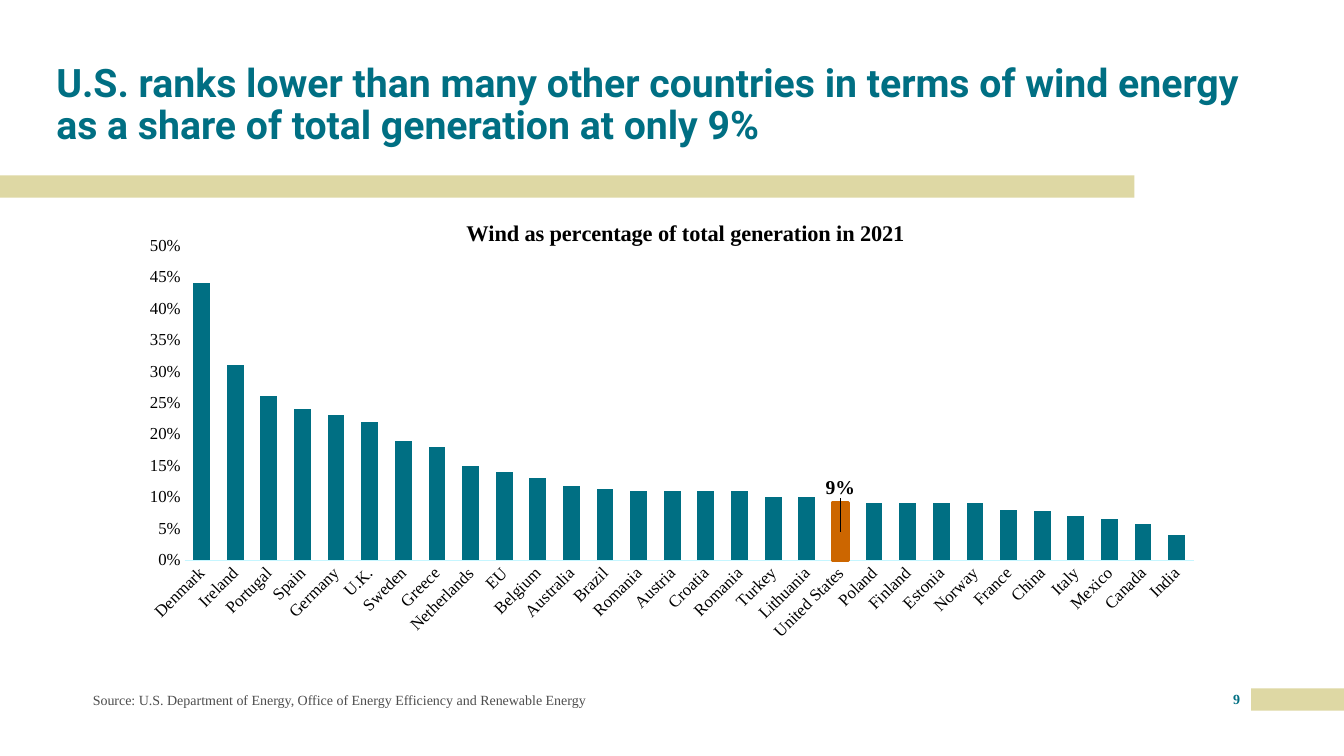
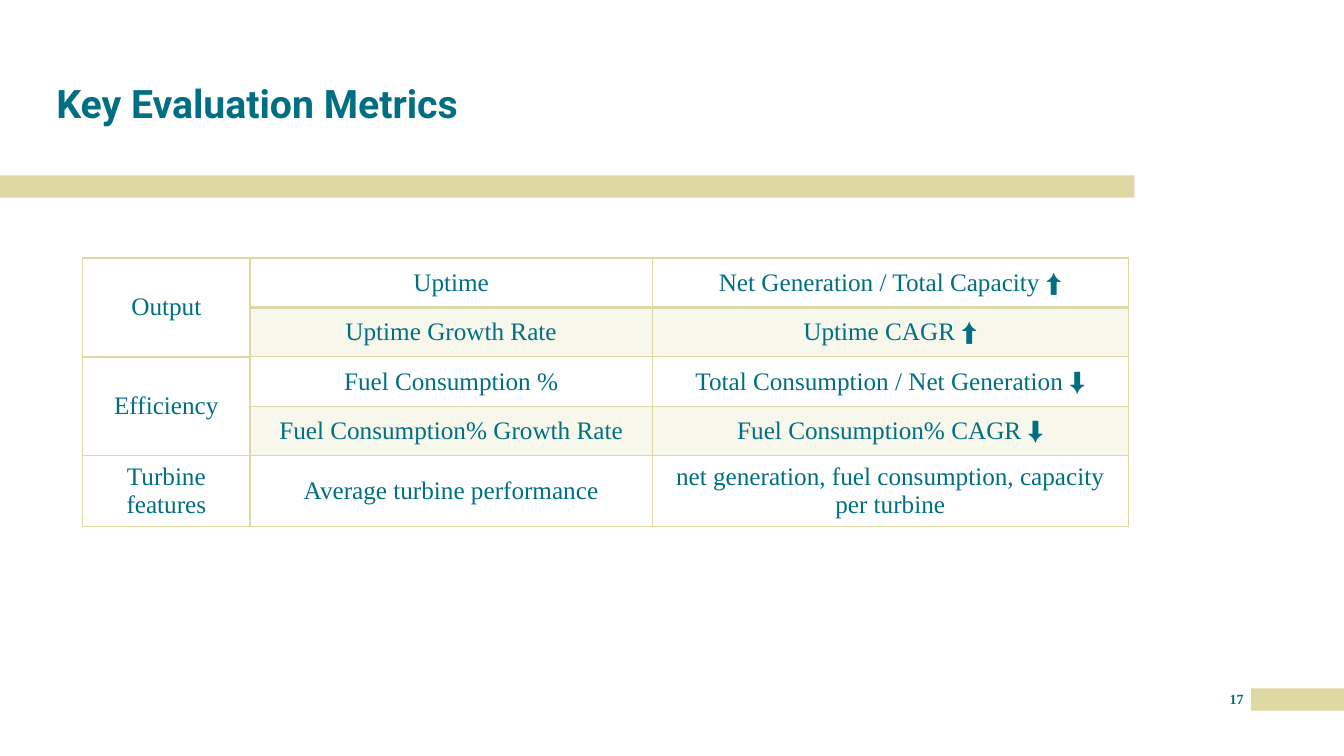
"""Build two wind energy slides: a ranking chart and a metrics table."""
from dataclasses import dataclass

from pptx import Presentation
from pptx.chart.data import CategoryChartData
from pptx.dml.color import RGBColor
from pptx.enum.chart import XL_CHART_TYPE, XL_TICK_MARK
from pptx.enum.shapes import MSO_SHAPE
from pptx.enum.text import MSO_ANCHOR, PP_ALIGN
from pptx.oxml import parse_xml
from pptx.oxml.ns import nsdecls, qn
from pptx.util import Inches, Pt

STACKED = XL_CHART_TYPE.COLUMN_STACKED
NO_TICK = XL_TICK_MARK.NONE
RECTANGLE = MSO_SHAPE.RECTANGLE
MIDDLE, TOP = MSO_ANCHOR.MIDDLE, MSO_ANCHOR.TOP
LEFT, CENTER = PP_ALIGN.LEFT, PP_ALIGN.CENTER


@dataclass(frozen=True)
class Theme:
    """Colours, fonts and type sizes of the deck."""

    teal: str = "006F83"
    sand: str = "DED8A4"
    orange: str = "CC6600"
    grey: str = "4D4D4D"
    black: str = "000000"
    axis: str = "C6F6FF"
    heading: str = "Roboto"
    body: str = "Times New Roman"
    title_size: int = 28
    table_size: int = 18
    chart_title_size: int = 16
    label_size: int = 14
    axis_size: int = 12
    small_size: int = 10


THEME = Theme()
HIGHLIGHT = "United States"
WIND_SHARES = [
    ("Denmark", 0.44), ("Ireland", 0.31), ("Portugal", 0.26),
    ("Spain", 0.24), ("Germany", 0.23), ("U.K.", 0.22),
    ("Sweden", 0.19), ("Greece", 0.18), ("Netherlands", 0.15),
    ("EU", 0.14), ("Belgium", 0.13), ("Australia", 0.118),
    ("Brazil", 0.113), ("Romania", 0.11), ("Austria", 0.11),
    ("Croatia", 0.11), ("Romania", 0.11), ("Turkey", 0.1),
    ("Lithuania", 0.1), (HIGHLIGHT, 0.091), ("Poland", 0.09),
    ("Finland", 0.09), ("Estonia", 0.09), ("Norway", 0.09),
    ("France", 0.08), ("China", 0.078), ("Italy", 0.07),
    ("Mexico", 0.066), ("Canada", 0.0577), ("India", 0.04),
]
METRICS = [
    ("Output", [("Uptime", "Net Generation / Total Capacity ⬆"),
                ("Uptime Growth Rate", "Uptime CAGR ⬆")]),
    ("Efficiency", [("Fuel Consumption %", "Total Consumption / Net Generation ⬇"),
                    ("Fuel Consumption% Growth Rate", "Fuel Consumption% CAGR ⬇")]),
    ("Turbine features", [("Average turbine performance",
                           "net generation, fuel consumption, capacity per turbine")]),
]


def rgb(value):
    """Turn a hex string into a colour."""
    return RGBColor.from_string(value)


def style_font(font, size, color, name=THEME.body, bold=False):
    """Apply size, colour, face and weight to a font."""
    for key, value in {"size": Pt(size), "name": name, "bold": bold}.items():
        setattr(font, key, value)
    font.color.rgb = rgb(color)


def fill_solid(fill, color):
    """Give a fill one plain colour."""
    fill.solid()
    fill.fore_color.rgb = rgb(color)


def add_text(page, frame, text, font, align=LEFT, anchor=MIDDLE, inset=0, spacing=1.0):
    """Add a wrapped single-paragraph text box."""
    body = page.shapes.add_textbox(*map(Inches, frame)).text_frame
    settings = {"word_wrap": True, "vertical_anchor": anchor}
    for side in ("left", "right", "top", "bottom"):
        settings[f"margin_{side}"] = Inches(inset * (1 if side in ("left", "right") else 0.5))
    for key, value in settings.items():
        setattr(body, key, value)
    para = body.paragraphs[0]
    para.alignment, para.line_spacing = align, spacing
    span = para.add_run()
    span.text = text
    style_font(span.font, **font)


def add_band(page, frame):
    """Add a plain sand band."""
    band = page.shapes.add_shape(RECTANGLE, *map(Inches, frame))
    band.shadow.inherit = False
    fill_solid(band.fill, THEME.sand)
    band.line.fill.background()


def add_page(deck, title, number):
    """Add a slide with the shared bands, title and page number."""
    page = deck.slides.add_slide(deck.slide_layouts[6])
    add_band(page, (12.41, 6.83, 0.92, 0.22))
    add_band(page, (0, 1.74, 11.25, 0.22))
    add_text(page, (0.46, 0.4, 12.42, 1.3), title,
             {"size": THEME.title_size, "color": THEME.teal,
              "name": THEME.heading, "bold": True}, inset=0.1, spacing=0.9)
    add_text(page, (12.12, 6.85, 0.29, 0.25), str(number),
             {"size": THEME.small_size, "color": THEME.teal, "bold": True},
             align=CENTER, anchor=TOP)
    return page


def set_layout(parent, **parts):
    """Set the manual layout of a chart part."""
    layout = parent.find(qn("c:layout"))
    if layout is None:
        layout = parse_xml(f"<c:layout {nsdecls('c')}/>")
        parent.insert(0, layout)
    rows = "".join(f'<c:{key} val="{value}"/>' for key, value in parts.items())
    layout.append(parse_xml(
        f"<c:manualLayout {nsdecls('c')}>{rows}</c:manualLayout>"))


def add_point_label(series, index):
    """Label one column above its top with a leader line."""
    def flags(shown):
        names = ("LegendKey", "Val", "CatName", "SerName", "Percent", "BubbleSize")
        return "".join(f'<c:show{name} val="{int(shown and name == "Val")}"/>'
                       for name in names)

    labels = parse_xml(
        f'<c:dLbls {nsdecls("c", "a")}><c:dLbl><c:idx val="{index}"/><c:layout/>'
        '<c:numFmt formatCode="0%" sourceLinked="0"/>'
        '<c:spPr><a:noFill/><a:ln><a:noFill/></a:ln></c:spPr>'
        f'<c:txPr><a:bodyPr/><a:p><a:pPr><a:defRPr sz="{THEME.label_size * 100}" b="1">'
        f'<a:solidFill><a:srgbClr val="{THEME.black}"/></a:solidFill>'
        f'<a:latin typeface="{THEME.body}"/></a:defRPr></a:pPr>'
        f'<a:endParaRPr lang="en-US"/></a:p></c:txPr>{flags(True)}</c:dLbl>{flags(False)}'
        '<c:extLst><c:ext uri="{CE6537A1-D6FC-4f65-9D91-7224C49458BB}" '
        'xmlns:c15="http://schemas.microsoft.com/office/drawing/2012/chart">'
        '<c15:showLeaderLines val="1"/></c:ext></c:extLst></c:dLbls>')
    set_layout(labels.find(qn("c:dLbl")), x=0, y=-0.09)
    series._element.find(qn("c:cat")).addprevious(labels)


def style_axes(chart):
    """Format both axes of the chart."""
    category, value = chart.category_axis, chart.value_axis
    for axis in (category, value):
        settings = {"major_tick_mark": NO_TICK, "minor_tick_mark": NO_TICK,
                    "has_major_gridlines": False}
        for key, setting in settings.items():
            setattr(axis, key, setting)
        style_font(axis.tick_labels.font, THEME.axis_size, THEME.black)
    category._element.find(qn("c:txPr")).find(qn("a:bodyPr")).set("rot", "-2700000")
    category.format.line.color.rgb = rgb(THEME.axis)
    category.format.line.width = Pt(0.75)
    value.format.line.fill.background()
    scale = {"minimum_scale": 0, "maximum_scale": 0.5, "major_unit": 0.05}
    for key, setting in scale.items():
        setattr(value, key, setting)
    value.tick_labels.number_format = "0%"
    value.tick_labels.number_format_is_linked = False


def add_wind_chart(page, frame, title):
    """Add the column chart with one highlighted country."""
    countries, shares = zip(*WIND_SHARES)
    data = CategoryChartData(number_format="0%")
    data.categories = countries
    data.add_series("Series 1", shares)
    chart = page.shapes.add_chart(STACKED, *map(Inches, frame), data).chart
    chart.has_legend = False
    style_font(chart.font, THEME.small_size, THEME.teal)

    chart.has_title = True
    para = chart.chart_title.text_frame.paragraphs[0]
    span = para.add_run()
    span.text = title
    style_font(span.font, THEME.chart_title_size, THEME.black, bold=True)
    set_layout(chart.chart_title._element, xMode="edge", yMode="edge", x=0.34, y=0.02)
    set_layout(chart._chartSpace.chart.plotArea, layoutTarget="inner",
               xMode="edge", yMode="edge", x=0.108, y=0.084, w=0.843, h=0.648)

    plot = chart.plots[0]
    for key, value in {"gap_width": 100, "overlap": 100, "vary_by_categories": False}.items():
        setattr(plot, key, value)
    series = plot.series[0]
    fill_solid(series.format.fill, THEME.teal)
    index = countries.index(HIGHLIGHT)
    column = series.points[index].format
    fill_solid(column.fill, THEME.orange)
    column.line.color.rgb = rgb(THEME.orange)
    column.line.width = Pt(2)
    add_point_label(series, index)
    style_axes(chart)


def style_cell(cell, shaded, bottom):
    """Set the fill, borders and text style of a table cell."""
    cell.vertical_anchor = MIDDLE
    for para in cell.text_frame.paragraphs:
        para.alignment = CENTER
        for span in para.runs:
            style_font(span.font, THEME.table_size, THEME.teal)
    if shaded:
        fill_solid(cell.fill, THEME.sand)
    else:
        cell.fill.background()
    properties = cell._tc.get_or_add_tcPr()
    for color in properties.iter(qn("a:srgbClr")):
        color.append(parse_xml(f'<a:alpha {nsdecls("a")} val="20000"/>'))
    widths = {"L": 1, "R": 1, "T": 1, "B": bottom}
    for place, (side, width) in enumerate(widths.items()):
        properties.insert(place, parse_xml(
            f'<a:ln{side} {nsdecls("a")} w="{Pt(width)}"><a:solidFill>'
            f'<a:srgbClr val="{THEME.sand}"/></a:solidFill></a:ln{side}>'))


def add_metrics_table(page, left, top, widths, height):
    """Add the metrics table with one merged cell for each group."""
    count = sum(len(metrics) for _, metrics in METRICS)
    table = page.shapes.add_table(count, len(widths), Inches(left), Inches(top),
                                  Inches(sum(widths)), Inches(height * count)).table
    table.first_row = table.horz_banding = False
    for column, width in zip(table.columns, widths):
        column.width = Inches(width)
    row = 0
    for group, metrics in METRICS:
        table.cell(row, 0).text = group
        if len(metrics) > 1:
            table.cell(row, 0).merge(table.cell(row + len(metrics) - 1, 0))
        for texts in metrics:
            for column, text in enumerate(texts, start=1):
                table.cell(row, column).text = text
            for column in range(len(widths)):
                style_cell(table.cell(row, column), shaded=column > 0 and row % 2 == 1,
                           bottom=2 if row == 0 else 1)
            row += 1


def main():
    """Build and save the deck."""
    deck = Presentation()
    deck.slide_width, deck.slide_height = Inches(13.33), Inches(7.5)

    ranking = add_page(deck, "U.S. ranks lower than many other countries in terms of wind "
                             "energy as a share of total generation at only 9%", 9)
    add_wind_chart(ranking, (0.55, 2.03, 11.87, 4.82),
                   "Wind as percentage of total generation in 2021")
    add_text(ranking, (0.92, 6.83, 5.12, 0.23),
             "Source: U.S. Department of Energy, Office of Energy Efficiency "
             "and Renewable Energy",
             {"size": THEME.small_size, "color": THEME.grey})

    metrics = add_page(deck, "Key Evaluation Metrics", 17)
    add_metrics_table(metrics, 0.82, 2.56, (1.66, 3.99, 4.72), 0.49)
    deck.save("out.pptx")


if __name__ == "__main__":
    main()
